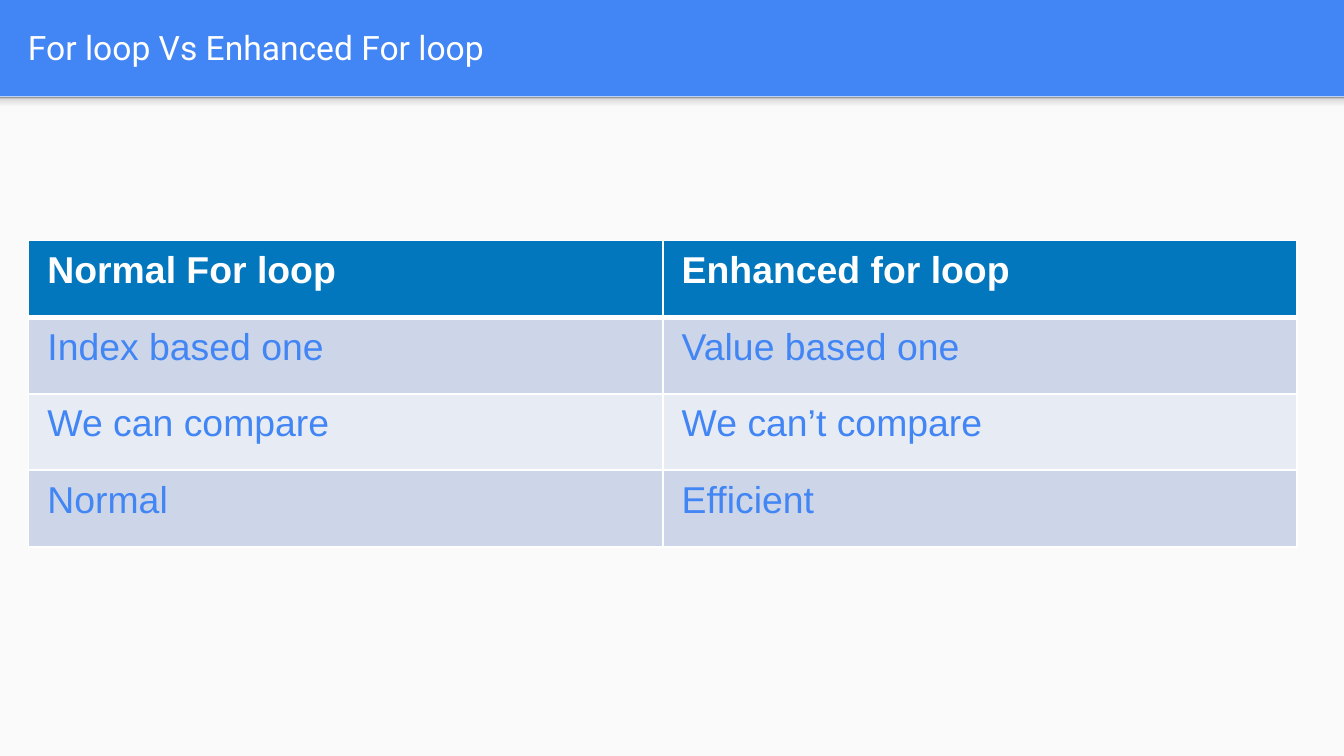
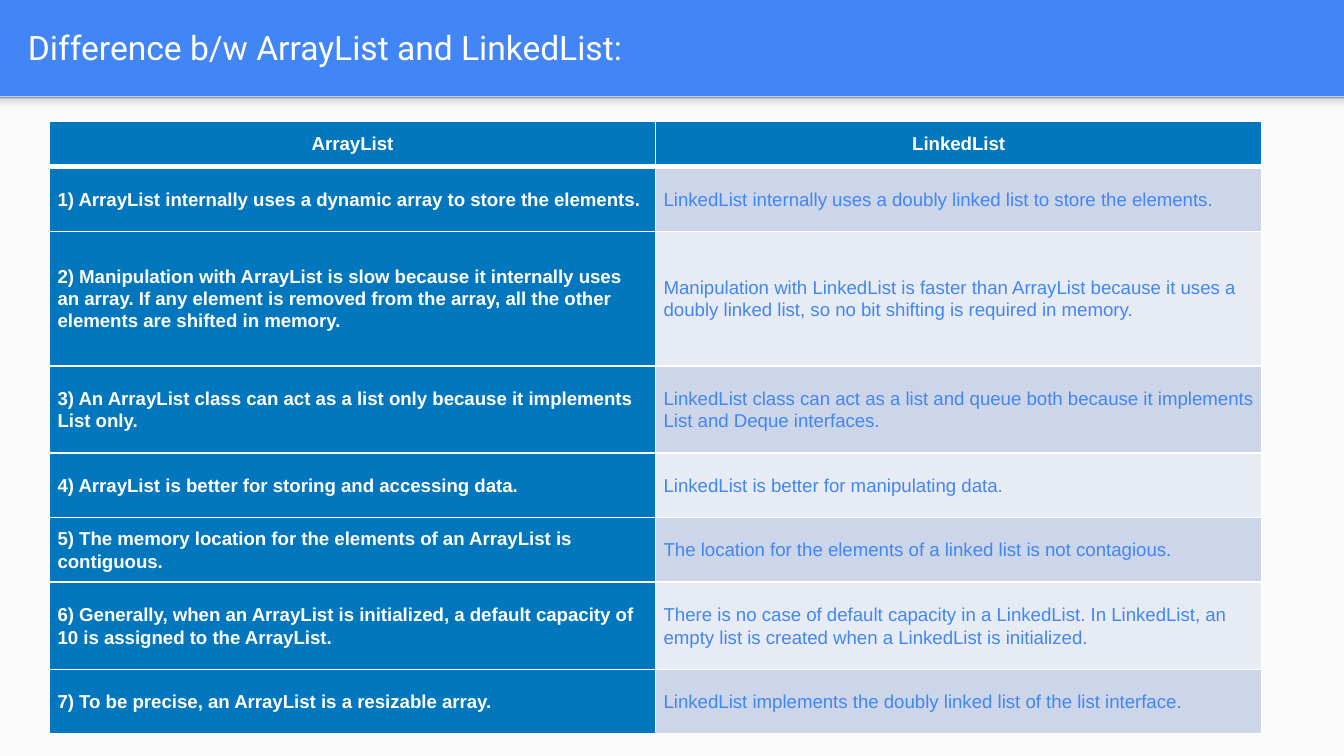
from lxml import etree
from pptx import Presentation
from pptx import util as u
from pptx.dml.color import RGBColor
from pptx.enum import shapes, text
from pptx.oxml import ns

BLUE = RGBColor(0x42, 0x85, 0xF4)
HEADER = RGBColor(0x02, 0x77, 0xBD)
WHITE = RGBColor(0xFF, 0xFF, 0xFF)
PAPER = RGBColor(0xFA, 0xFA, 0xFA)
BANDS = (RGBColor(0xCC, 0xD6, 0xE8), RGBColor(0xE7, 0xEC, 0xF4))
SHADE = ((0, RGBColor(0xF9, 0xF9, 0xF9)), (36, RGBColor(0xF9, 0xF9, 0xF9)),
         (80, RGBColor(0xDE, 0xDE, 0xDE)), (100, RGBColor(0x99, 0x99, 0x99)))

COLS, ROWS = 100, 56.25
BAND_ROWS = 7.18
TITLE_BOX = (1.1, 0.2, 96.5, 6.6)
LOOP_BOX = (2.13, 17.9, 94.4)
LIST_BOX = (3.68, 9.03, 90.2)

LOOP_CELLS = [
    ("Normal For loop", "Enhanced for loop"),
    ("Index based one", "Value based one"),
    ("We can compare", "We can’t compare"),
    ("Normal", "Efficient"),
]
LIST_CELLS = [
    ("ArrayList", "LinkedList"),
    ("1) ArrayList internally uses a dynamic array to store the elements.",
     "LinkedList internally uses a doubly linked list to store the elements."),
    ("2) Manipulation with ArrayList is slow because it internally uses an array. "
     "If any element is removed from the array, all the other elements are shifted in memory.",
     "Manipulation with LinkedList is faster than ArrayList because it uses a "
     "doubly linked list, so no bit shifting is required in memory."),
    ("3) An ArrayList class can act as a list only because it implements List only.",
     "LinkedList class can act as a list and queue both because it "
     "implements List and Deque interfaces."),
    ("4) ArrayList is better for storing and accessing data.",
     "LinkedList is better for manipulating data."),
    ("5) The memory location for the elements of an ArrayList is contiguous.",
     "The location for the elements of a linked list is not contagious."),
    ("6) Generally, when an ArrayList is initialized, a default capacity of "
     "10 is assigned to the ArrayList.",
     "There is no case of default capacity in a LinkedList. In LinkedList, an "
     "empty list is created when a LinkedList is initialized."),
    ("7) To be precise, an ArrayList is a resizable array.",
     "LinkedList implements the doubly linked list of the list interface."),
]
LOOP_ROWS = [5.7] * 4
LIST_ROWS = [3.3, 4.8, 10, 6.5, 4.8, 4.8, 6.5, 4.8]


def grid(*units):
    """Turn grid columns or rows into lengths."""
    return [u.Inches(n / 10) for n in units]


def set_insets(obj, x, y):
    """Set the side and the top and bottom margins of a frame or cell."""
    obj.margin_left = obj.margin_right = u.Inches(x)
    obj.margin_top = obj.margin_bottom = u.Inches(y)


def add_run(p, words, font, size, color, bold=False):
    """Add one styled run to a paragraph."""
    r = p.add_run()
    r.text = words
    r.font.name, r.font.size, r.font.bold = font, u.Pt(size), bold
    r.font.color.rgb = color


def add_panel(s, box):
    """Add a plain paper-coloured rectangle."""
    sp = s.shapes.add_shape(shapes.MSO_SHAPE.RECTANGLE, *grid(*box))
    sp.shadow.inherit = False
    sp.line.fill.background()
    sp.fill.solid()
    sp.fill.fore_color.rgb = PAPER
    return sp


def shade(sp):
    """Fill a shape with the soft shadow that falls below the title band."""
    sp.fill.gradient()
    sp.fill.gradient_angle = 90
    stops = sp._element.spPr.find(ns.qn("a:gradFill")).find(ns.qn("a:gsLst"))
    for gs in list(stops):
        stops.remove(gs)
    for pos, color in SHADE:
        gs = etree.SubElement(stops, ns.qn("a:gs"), pos=str(pos * 1000))
        etree.SubElement(gs, ns.qn("a:srgbClr"), val=str(color))


def add_frame(prs, title):
    """Add a slide with the blue title band, its shadow and the title."""
    s = prs.slides.add_slide(prs.slide_layouts[6])
    s.background.fill.solid()
    s.background.fill.fore_color.rgb = BLUE
    add_panel(s, (0, BAND_ROWS, COLS, ROWS - BAND_ROWS))
    shade(add_panel(s, (0, BAND_ROWS, COLS, 1.2)))
    tf = s.shapes.add_textbox(*grid(*TITLE_BOX)).text_frame
    tf.word_wrap = True
    tf.vertical_anchor = text.MSO_ANCHOR.MIDDLE
    set_insets(tf, 0.1, 0.1)
    add_run(tf.paragraphs[0], title, "Roboto", 18, WHITE)
    return s


def add_borders(cell, row):
    """Draw white cell borders, heavier under the header row."""
    tcPr = cell._tc.get_or_add_tcPr()
    widths = {"L": 1, "R": 1, "T": 3 if row == 1 else 1, "B": 3 if row == 0 else 1}
    for side, width in widths.items():
        ln = etree.SubElement(tcPr, ns.qn(f"a:ln{side}"), w=str(u.Pt(width)))
        fill = etree.SubElement(ln, ns.qn("a:solidFill"))
        etree.SubElement(fill, ns.qn("a:srgbClr"), val=str(WHITE))


def add_comparison(s, box, cells, heights, size, style, dark_first=False):
    """Add a two-column banded table and style each cell by its place."""
    left, top, width = box
    tbl = s.shapes.add_table(len(cells), 2, *grid(left, top, width, sum(heights))).table
    tbl.horz_banding = False
    for row, (words, height) in enumerate(zip(cells, heights)):
        tbl.rows[row].height = grid(height)[0]
        for col, word in enumerate(words):
            cell = tbl.cell(row, col)
            dark = row == 0 or (dark_first and col == 0)
            add_borders(cell, row)
            cell.fill.solid()
            cell.fill.fore_color.rgb = HEADER if dark else BANDS[(row - 1) % 2]
            style(cell, row)
            add_run(cell.text_frame.paragraphs[0], word, "Arial", size,
                    WHITE if dark else BLUE, dark)


def loop_style(cell, row):
    """Give a loop cell its wide margins."""
    set_insets(cell, 0.14, 0.07)


def list_style(cell, row):
    """Give a list cell its spacing, centring the header row."""
    p = cell.text_frame.paragraphs[0]
    p.line_spacing, p.space_after = 1.07, u.Pt(8)
    if row == 0:
        p.alignment = text.PP_ALIGN.CENTER
        set_insets(cell, 0.08, 0.08)
    else:
        cell.vertical_anchor = text.MSO_ANCHOR.MIDDLE
        set_insets(cell, 0.06, 0.06)


def main():
    """Build both comparison slides and save them."""
    prs = Presentation()
    prs.slide_width, prs.slide_height = grid(COLS, ROWS)
    s = add_frame(prs, "For loop Vs Enhanced For loop")
    add_comparison(s, LOOP_BOX, LOOP_CELLS, LOOP_ROWS, 20, loop_style)
    s = add_frame(prs, "Difference b/w ArrayList and LinkedList:")
    add_comparison(s, LIST_BOX, LIST_CELLS, LIST_ROWS, 10, list_style, dark_first=True)
    prs.save("out.pptx")


if __name__ == "__main__":
    main()
